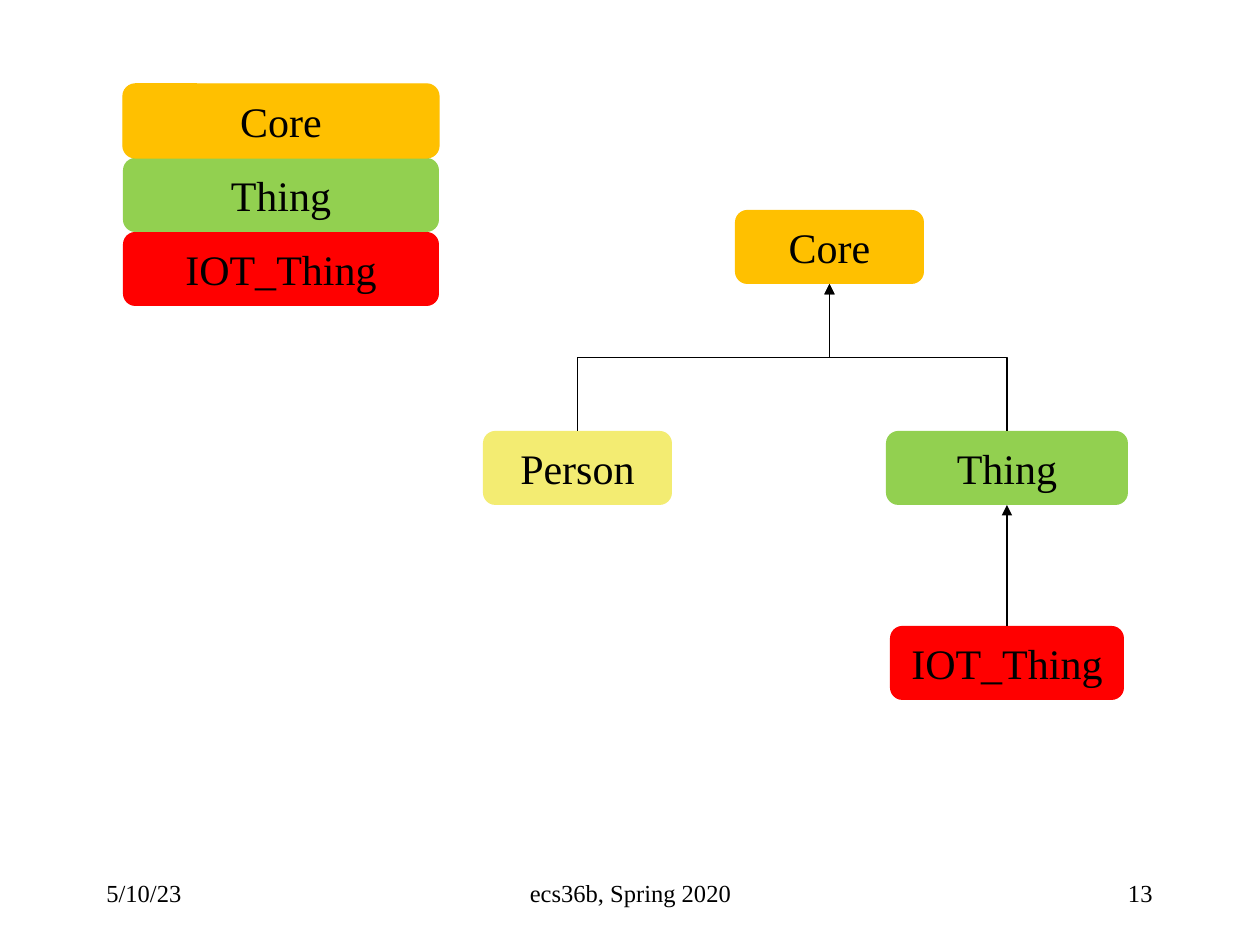
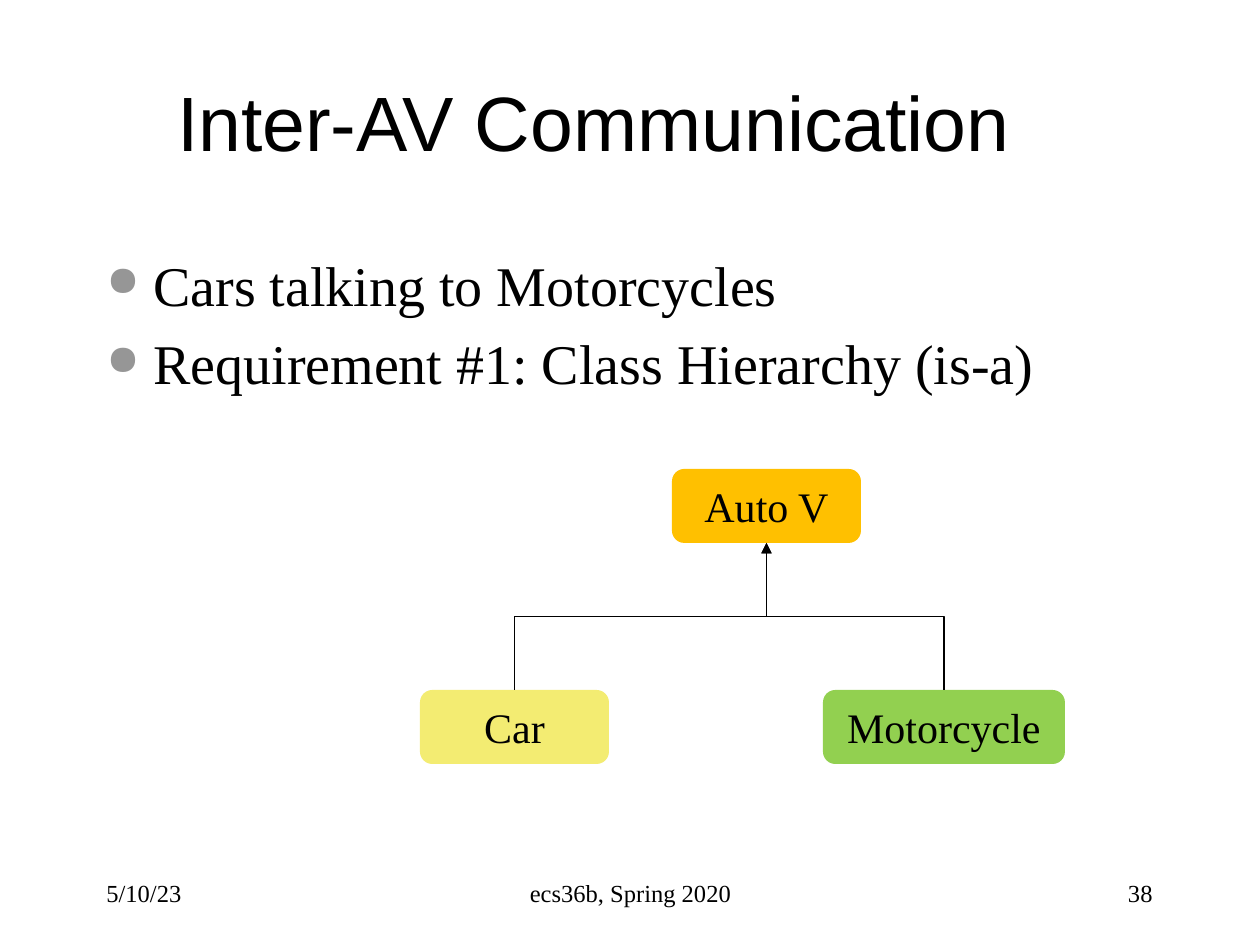
from lxml import etree
from pptx import Presentation, util as u
from pptx.dml.color import RGBColor
from pptx.enum import shapes, text
from pptx.oxml.ns import qn

SCALE = 914400 / 126  # EMU in one px
HUES = {"ink": "000000", "gold": "FFC000", "lime": "92D050",
        "red": "FF0000", "straw": "F3EC72", "dot": "969696"}
SERIF, SANS = "Times New Roman", "Arial"
LEFT, MID, RIGHT = text.PP_ALIGN.LEFT, text.PP_ALIGN.CENTER, text.PP_ALIGN.RIGHT
BOX_H, DROP = 74, 221  # node height, step from parent to child row


def px(n):
    return u.Emu(round(n * SCALE))


def hue(name):
    return RGBColor.from_string(HUES[name])


def put(item, attrs):
    for key, val in attrs.items():
        setattr(item, key, val)


def sub(node, tag, **attrs):
    return etree.SubElement(node, qn(tag), attrs)


def write(frame, lines, size, font=SERIF, align=MID,
          anchor=text.MSO_ANCHOR.MIDDLE, wrap=True):
    put(frame, {"text": "\n".join(lines), "word_wrap": wrap,
                "auto_size": text.MSO_AUTO_SIZE.NONE,
                "vertical_anchor": anchor})
    for para in frame.paragraphs:
        para.alignment = align
        for run in para.runs:
            put(run.font, {"name": font, "size": u.Pt(size)})
            run.font.color.rgb = hue("ink")


def label(slide, box, lines, size, **style):
    shape = slide.shapes.add_textbox(*map(px, box))
    write(shape.text_frame, lines, size, **style)
    return shape.text_frame


def node(slide, box, name, fill):
    shape = slide.shapes.add_shape(
        shapes.MSO_SHAPE.ROUNDED_RECTANGLE, *map(px, box))
    shape.shadow.inherit = False
    shape.fill.solid()
    shape.fill.fore_color.rgb = hue(fill)
    shape.line.fill.background()
    write(shape.text_frame, [name], 24, wrap=False)
    return shape


def arrow(slide, kind, ends):
    link = slide.shapes.add_connector(kind, *ends)
    put(link.line, {"width": u.Pt(1)})
    link.line.color.rgb = hue("ink")
    sub(link.line._get_or_add_ln(), "a:tailEnd", type="triangle")
    sub(link._element.spPr, "a:effectLst")
    return link


def rise(slide, kid, top):
    """Bent arrow from a child's top, up and across to its parent."""
    x1, y1 = kid.left + kid.width // 2, kid.top
    x2, y2 = top.left + top.width // 2, top.top + top.height
    cx, cy = (x1 + x2) // 2, (y1 + y2) // 2
    side = 1 if x1 < x2 else -1
    dx, dy = side * (y1 - y2) // 2, abs(x2 - x1) // 2
    link = arrow(slide, shapes.MSO_CONNECTOR.ELBOW,
                 (cx + dx, cy + dy, cx - dx, cy - dy))
    turn = 90 if side > 0 else 270
    link._element.spPr.find(qn("a:xfrm")).set("rot", str(turn * 60000))


def tree(slide, x, y, root, left, right, leaf=None):
    top = node(slide, (x + 252, y, 189, BOX_H), root, "gold")
    kids = [node(slide, (x, y + DROP, 189, BOX_H), left, "straw"),
            node(slide, (x + 403, y + DROP, 242, BOX_H), right, "lime")]
    for kid in kids:
        rise(slide, kid, top)
    if leaf:
        low = node(slide, (x + 407, y + 416, 234, BOX_H), leaf, "red")
        link = arrow(slide, shapes.MSO_CONNECTOR.STRAIGHT, (0, 0, 0, 0))
        link.begin_connect(low, 0)
        link.end_connect(kids[1], 2)


def stack(slide, x, y, rows):
    for i, (name, fill) in reversed(list(enumerate(rows))):
        shape = node(slide, (x, y + i * BOX_H, 316, BOX_H), name, fill)
        if i == 0:
            shape.line.color.rgb = hue(fill)
            shape.line.width = u.Pt(0.75)


def title(slide, box, words):
    shape = slide.shapes.title
    put(shape, dict(zip(("left", "top", "width", "height"), map(px, box))))
    write(shape.text_frame, [words], 44, font=SANS)


def points(slide, box, lines):
    frame = label(slide, box, lines, 32, align=LEFT,
                  anchor=text.MSO_ANCHOR.TOP)
    for para in frame.paragraphs:
        props = para._p.get_or_add_pPr()
        props.set("marL", str(px(47)))
        props.set("indent", str(px(-47)))
        sub(sub(props, "a:spcBef"), "a:spcPct", val="20000")
        sub(sub(props, "a:buClr"), "a:srgbClr", val=HUES["dot"])
        sub(props, "a:buSzPct", val="75000")
        sub(props, "a:buChar", char="●")


def footer(slide, page):
    parts = ((94, 262, "5/10/23", LEFT),
             (431, 399, "ecs36b, Spring 2020", MID),
             (903, 262, page, RIGHT))
    for x, wide, words, align in parts:
        label(slide, (x, 861, wide, 63), [words], 14, align=align)


def main():
    deck = Presentation()
    put(deck, {"slide_width": px(1260), "slide_height": px(945)})

    # Class tree with its layers
    slide = deck.slides.add_slide(deck.slide_layouts[6])
    footer(slide, "13")
    tree(slide, 483, 210, "Core", "Person", "Thing", "IOT_Thing")
    stack(slide, 123, 84,
          [("Core", "gold"), ("Thing", "lime"), ("IOT_Thing", "red")])

    # Vehicles talking to each other
    slide = deck.slides.add_slide(deck.slide_layouts[5])
    title(slide, (158, 42, 872, 158), "Inter-AV Communication")
    points(slide, (94, 244, 1071, 567),
           ["Cars talking to Motorcycles",
            "Requirement #1: Class Hierarchy (is-a)"])
    footer(slide, "38")
    tree(slide, 420, 469, "Auto V", "Car", "Motorcycle")

    deck.save("out.pptx")


if __name__ == "__main__":
    main()
